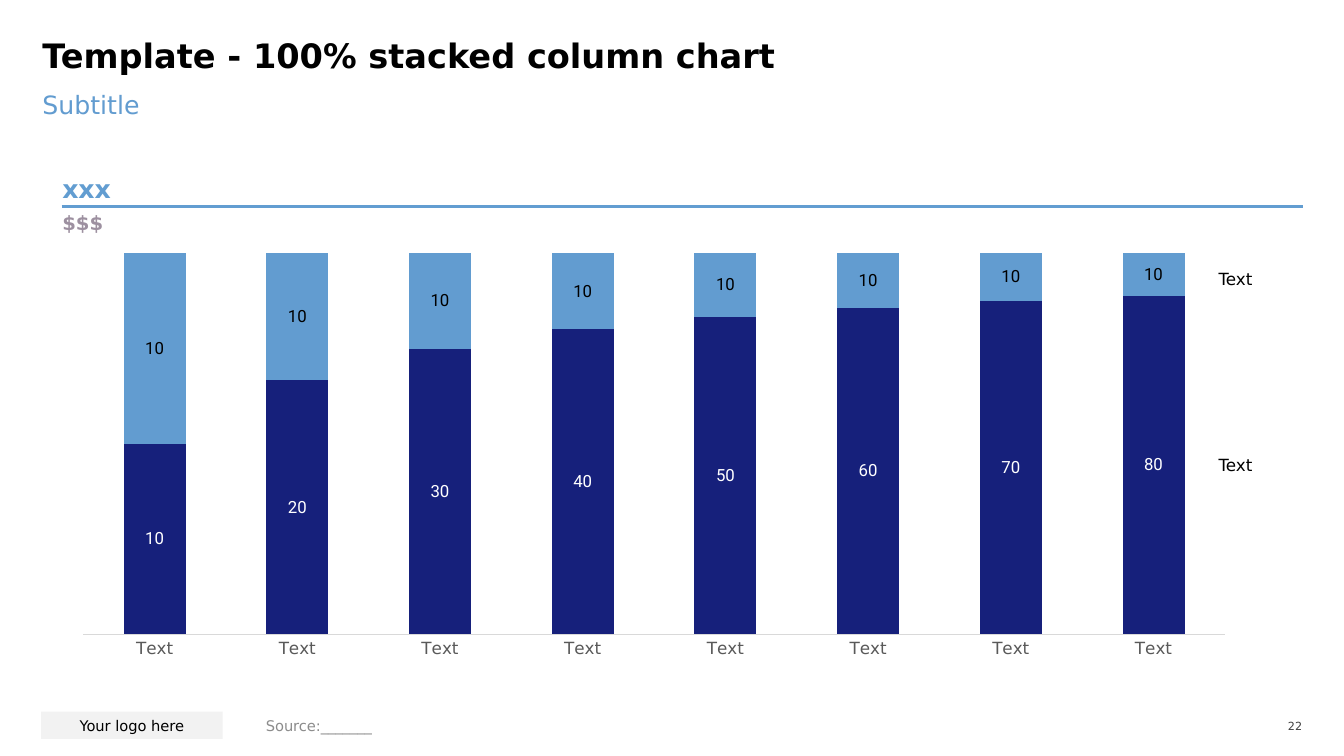
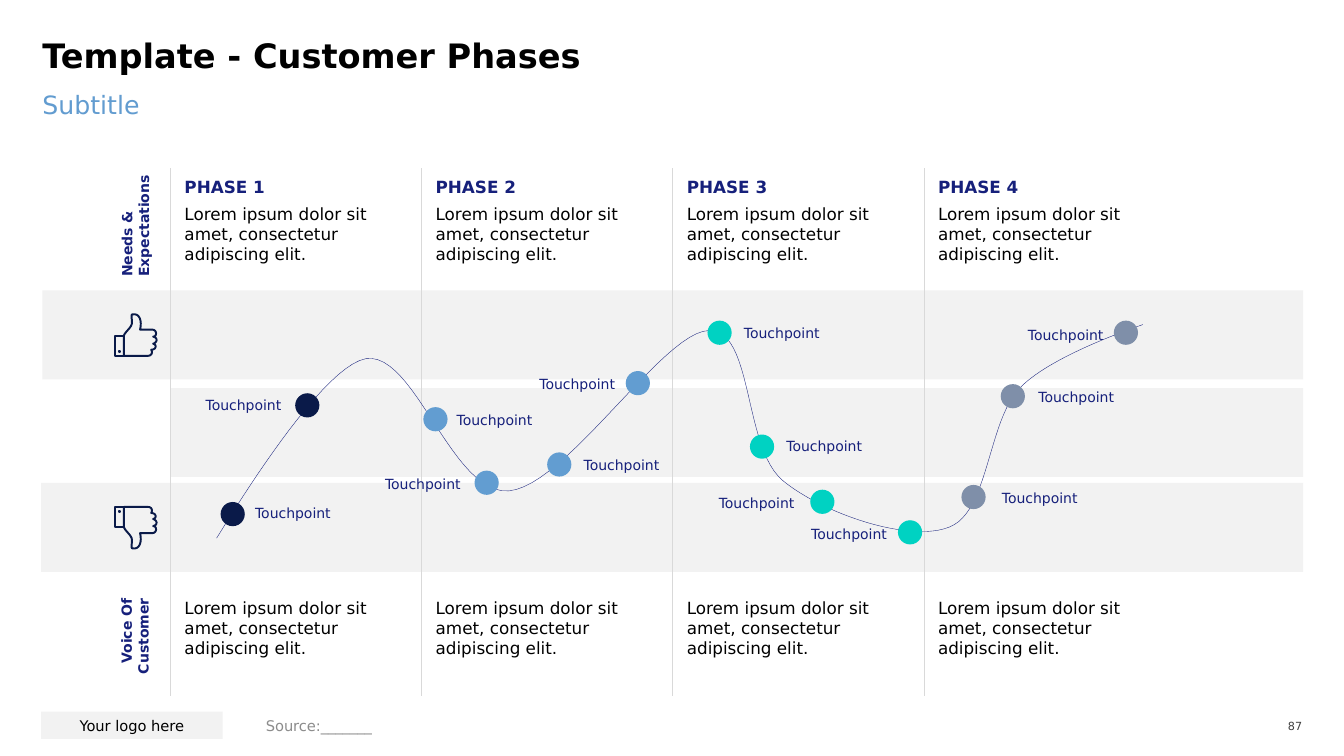
from dataclasses import dataclass
from typing import NamedTuple

from lxml.etree import SubElement
from pptx import Presentation
from pptx.chart.data import CategoryChartData
from pptx.dml.color import RGBColor
from pptx.enum.chart import XL_CHART_TYPE as ChartType, XL_TICK_MARK as TickMark
from pptx.enum.shapes import MSO_CONNECTOR as Connector, MSO_SHAPE as Preset
from pptx.enum.text import MSO_ANCHOR as Anchor, MSO_AUTO_SIZE as AutoSize, PP_ALIGN as Align
from pptx.oxml.ns import qn
from pptx.util import Cm, Pt

FONT, CHART_FONT = "DejaVu Sans", "Roboto"
BLACK, WHITE = "000000", "FFFFFF"
NAVY, MIDNIGHT = "16207B", "0A1A49"
SKY, BLUE = "629CD0", "629DD1"
TEAL, SLATE, MAUVE = "00D2C2", "7F8FA9", "9D90A0"
PALE, RULE_GREY = "F2F2F2", "D9D9D9"
AXIS_GREY, SOURCE_GREY, NUMBER_GREY = "595959", "8C8C8C", "404040"

RIGHT_EDGE = 32.84
LOREM = "Lorem ipsum dolor sit amet, consectetur adipiscing elit."

Point = tuple[float, float]
Curve = tuple[Point, Point, Point]


class Box(NamedTuple):
    """Left, top, width and height in centimetres."""
    left: float
    top: float
    width: float
    height: float

    def lengths(self) -> list[Cm]:
        return [Cm(value) for value in self]


@dataclass(frozen=True)
class Touchpoint:
    dot: Point
    label: Point
    color: str


@dataclass(frozen=True)
class Series:
    name: str
    values: tuple[int, ...]
    fill: str
    label_color: str


TOUCHPOINTS = (
    Touchpoint((5.56, 12.65), (6.3, 12.65), MIDNIGHT),
    Touchpoint((7.44, 9.91), (4.98, 9.93), MIDNIGHT),
    Touchpoint((10.67, 10.26), (11.38, 10.29), BLUE),
    Touchpoint((11.96, 11.86), (9.5, 11.91), BLUE),
    Touchpoint((13.79, 11.4), (14.58, 11.43), BLUE),
    Touchpoint((15.77, 9.35), (13.39, 9.4), BLUE),
    Touchpoint((17.83, 8.08), (18.62, 8.1), TEAL),
    Touchpoint((18.9, 10.95), (19.69, 10.95), TEAL),
    Touchpoint((20.42, 12.34), (17.91, 12.4), TEAL),
    Touchpoint((22.63, 13.11), (20.24, 13.18), TEAL),
    Touchpoint((24.23, 12.22), (25.12, 12.27), SLATE),
    Touchpoint((25.22, 9.68), (26.04, 9.73), SLATE),
    Touchpoint((28.07, 8.08), (25.7, 8.15), SLATE),
)

JOURNEY_START = (5.46, 13.56)
JOURNEY_CURVES = (
    ((5.46, 13.59), (8, 9.25), (9.22, 9.04)),
    ((10.46, 8.84), (11.4, 12.5), (12.83, 12.37)),
    ((14.27, 12.24), (16.71, 8.36), (17.86, 8.33)),
    ((19, 8.28), (18.72, 11.3), (19.74, 12.12)),
    ((20.75, 12.95), (22.94, 13.69), (23.93, 13.28)),
    ((24.92, 12.9), (24.89, 10.62), (25.7, 9.78)),
    ((26.52, 8.92), (28.83, 8.18), (28.8, 8.18)),
)

# The thumb is drawn on a grid of 43 by 43 units.
THUMB_GRID, THUMB_UNIT = 43, 0.0254
CUFF = [(1, 22), (10, 22), (10, 42), (1, 42)]
CUFF_BUTTON = [(5, 37), (6, 37), (6, 38), (5, 38)]
HAND_START = (10, 22)
HAND_CURVES = (
    ((11, 18), (18, 14), (18, 9)),
    ((18, 6), (17, 2), (18, 1)),
    ((26, -1), (28, 8), (26, 16)),
    ((30, 16), (34, 16), (38, 16)),
    ((43, 16), (43, 23), (39, 23)),
    ((44, 24), (43, 29), (39, 30)),
    ((43, 31), (42, 36), (37, 36)),
    ((39, 39), (37, 42), (34, 42)),
    ((26, 42), (18, 42), (10, 42)),
)


def rgb(color: str) -> RGBColor:
    return RGBColor.from_string(color)


def style_font(font, size: float, color: str, bold: bool = False, name: str = FONT) -> None:
    font.name, font.size, font.bold = name, Pt(size), bold
    font.color.rgb = rgb(color)


def write(shape, text: str, *, size: float, color: str = BLACK, bold: bool = False,
          align: Align = Align.LEFT, anchor: Anchor = Anchor.TOP, wrap: bool = True,
          margins: Point = (0, 0), spacing: float | None = None) -> None:
    """Fill a shape with text; margins are horizontal and vertical, in centimetres."""
    frame = shape.text_frame
    frame.text = text
    frame.auto_size, frame.word_wrap = AutoSize.NONE, wrap
    frame.vertical_anchor = anchor
    frame.margin_left = frame.margin_right = Cm(margins[0])
    frame.margin_top = frame.margin_bottom = Cm(margins[1])
    for paragraph in frame.paragraphs:
        paragraph.alignment = align
        if spacing:
            paragraph.line_spacing = spacing
        for run in paragraph.runs:
            style_font(run.font, size, color, bold)


def add_text(slide, text: str, box: Box, **text_format):
    label = slide.shapes.add_textbox(*box.lengths())
    write(label, text, **text_format)
    return label


def add_filled(slide, preset: Preset, box: Box, color: str):
    shape = slide.shapes.add_shape(preset, *box.lengths())
    shape.shadow.inherit = False
    shape.fill.solid()
    shape.fill.fore_color.rgb = rgb(color)
    shape.line.fill.background()
    return shape


def add_rule(slide, start: Point, end: Point, color: str, weight: float) -> None:
    rule = slide.shapes.add_connector(
        Connector.STRAIGHT, *[Cm(value) for value in (*start, *end)])
    rule.line.color.rgb = rgb(color)
    rule.line.width = Pt(weight)
    SubElement(rule._element.spPr, qn("a:effectLst"))


def sample_curves(start: Point, curves: tuple[Curve, ...], steps: int) -> list[Point]:
    """Turn a chain of cubic Bézier curves into points."""
    points = [start]
    for first, second, end in curves:
        begin = points[-1]
        for step in range(1, steps + 1):
            t = step / steps
            u = 1 - t
            weights = (u ** 3, 3 * u * u * t, 3 * u * t * t, t ** 3)
            corners = (begin, first, second, end)
            points.append((sum(w * c[0] for w, c in zip(weights, corners)),
                           sum(w * c[1] for w, c in zip(weights, corners))))
    return points


def add_outline(slide, contours: list[list[Point]], color: str, weight: float,
                closed: bool) -> None:
    """Draw unfilled contours given in centimetres."""
    builder = None
    for contour in contours:
        start, *rest = [(Cm(x), Cm(y)) for x, y in contour]
        if builder is None:
            builder = slide.shapes.build_freeform(*start)
        else:
            builder.move_to(*start)
        builder.add_line_segments(rest, close=closed)
    outline = builder.convert_to_shape()
    outline.shadow.inherit = False
    outline.fill.background()
    outline.line.color.rgb = rgb(color)
    outline.line.width = Pt(weight)


def add_thumb(slide, left: float, top: float, down: bool = False) -> None:
    hand = sample_curves(HAND_START, HAND_CURVES, 8)
    contours = [[(left + x * THUMB_UNIT,
                  top + (THUMB_GRID - y if down else y) * THUMB_UNIT)
                 for x, y in contour]
                for contour in (CUFF, hand, CUFF_BUTTON)]
    add_outline(slide, contours, MIDNIGHT, 1.4, closed=True)


def add_base_slide(deck, title: str, number: int):
    """Add a slide with the title, subtitle and footer that all slides share."""
    slide = deck.slides.add_slide(deck.slide_layouts[5])
    heading = slide.shapes.title
    heading.left, heading.top, heading.width, heading.height = Box(
        1.07, 1.07, 31.72, 1.35).lengths()
    write(heading, title, size=24, bold=True, spacing=0.8)
    add_text(slide, "Subtitle", Box(1.07, 2.24, 31.72, 1.6), size=18, color=SKY)
    logo = add_filled(slide, Preset.RECTANGLE, Box(1.04, 17.93, 4.57, 0.69), PALE)
    write(logo, "Your logo here", size=10.5, align=Align.CENTER, anchor=Anchor.MIDDLE)
    add_text(slide, "Source:_______", Box(6.45, 17.96, 16.23, 0.66), size=10.5,
             color=SOURCE_GREY, anchor=Anchor.MIDDLE, margins=(0.25, 0.13))
    add_text(slide, str(number), Box(31.75, 18.01, 1.07, 0.58), size=8,
             color=NUMBER_GREY, align=Align.RIGHT, anchor=Anchor.MIDDLE)
    return slide


def place_plot(chart, **fractions: float) -> None:
    """Fix the inner plot area as fractions of the chart."""
    plot_area = chart._chartSpace.chart.plotArea
    for old in plot_area.findall(qn("c:layout")):
        plot_area.remove(old)
    layout = SubElement(plot_area, qn("c:layout"))
    plot_area.insert(0, layout)
    manual = SubElement(layout, qn("c:manualLayout"))
    settings = {"layoutTarget": "inner", "xMode": "edge", "yMode": "edge", **fractions}
    for tag, value in settings.items():
        SubElement(manual, qn(f"c:{tag}")).set("val", str(value))


def add_share_chart(slide, box: Box, all_series: tuple[Series, ...]) -> None:
    data = CategoryChartData()
    data.categories = ["Text"] * len(all_series[0].values)
    for series in all_series:
        data.add_series(series.name, series.values)
    chart = slide.shapes.add_chart(ChartType.COLUMN_STACKED_100, *box.lengths(), data).chart
    chart.has_legend = chart.has_title = False
    style_font(chart.font, 12, BLACK, name=CHART_FONT)
    chart.value_axis.visible = False
    chart.value_axis.has_major_gridlines = False
    categories = chart.category_axis
    categories.major_tick_mark = categories.minor_tick_mark = TickMark.NONE
    categories.format.line.color.rgb = rgb(RULE_GREY)
    categories.format.line.width = Pt(0.75)
    style_font(categories.tick_labels.font, 12, AXIS_GREY)
    plot = chart.plots[0]
    plot.gap_width, plot.overlap, plot.vary_by_categories = 130, 100, False
    for drawn, series in zip(plot.series, all_series):
        drawn.format.fill.solid()
        drawn.format.fill.fore_color.rgb = rgb(series.fill)
        drawn.data_labels.show_value = True
        style_font(drawn.data_labels.font, 12, series.label_color, name=CHART_FONT)
    place_plot(chart, x=0.02, y=0.02, w=0.96, h=0.9)


def build_chart_slide(deck) -> None:
    slide = add_base_slide(deck, "Template - 100% stacked column chart", 22)
    add_text(slide, "xxx", Box(1.57, 4.27, 7.44, 0.86), size=18, color=BLUE,
             bold=True, anchor=Anchor.BOTTOM)
    add_rule(slide, (1.55, 5.21), (RIGHT_EDGE, 5.21), BLUE, 2.25)
    add_text(slide, "$$$", Box(1.57, 5.31, 3.35, 0.86), size=14, color=MAUVE, bold=True)
    add_share_chart(slide, Box(1.5, 6.17, 29.97, 10.67), (
        Series("Series 1", tuple(range(10, 90, 10)), NAVY, WHITE),
        Series("Series 2", (10,) * 8, SKY, BLACK)))
    for top in (6.78, 11.46):
        add_text(slide, "Text", Box(30.71, top, 2.13, 0.51), size=12, anchor=Anchor.MIDDLE)


def build_phases_slide(deck) -> None:
    slide = add_base_slide(deck, "Template - Customer Phases", 87)
    first_column, column_step = 4.29, 6.33
    for left, top in ((1.07, 7.32), (first_column, 9.78), (1.04, 12.17)):
        add_filled(slide, Preset.RECTANGLE, Box(left, top, RIGHT_EDGE - left, 2.24), PALE)
    add_thumb(slide, 2.87, 7.9)
    add_thumb(slide, 2.87, 12.75, down=True)
    for text, box, align in (
            ("Needs &\nExpectations", Box(1.88, 5.13, 3.07, 1.12), Align.LEFT),
            ("Voice Of\nCustomer", Box(2.18, 15.49, 2.44, 1.12), Align.RIGHT)):
        row_label = add_text(slide, text, box, size=10, color=NAVY, bold=True,
                             align=align, wrap=False, margins=(0.25, 0.13))
        row_label.rotation = 270
    for index in range(4):
        column = first_column + index * column_step
        text_left = column + 0.36
        add_rule(slide, (column, 4.24), (column, 17.53), RULE_GREY, 0.25)
        add_text(slide, f"PHASE {index + 1}", Box(text_left, 4.32, 4.09, 0.76),
                 size=12, color=NAVY, bold=True, margins=(0, 0.13))
        for top in (5, 14.93):
            add_text(slide, LOREM, Box(text_left, top, 5.64, 2.4), size=12, margins=(0, 0.13))
    journey = sample_curves(JOURNEY_START, JOURNEY_CURVES, 24)
    add_outline(slide, [journey], NAVY, 0.25, closed=False)
    for touchpoint in TOUCHPOINTS:
        add_filled(slide, Preset.OVAL, Box(*touchpoint.dot, 0.61, 0.61), touchpoint.color)
        before_dot = touchpoint.label[0] < touchpoint.dot[0]
        add_text(slide, "Touchpoint", Box(*touchpoint.label, 2.24, 0.56), size=10,
                 color=NAVY, align=Align.RIGHT if before_dot else Align.LEFT,
                 anchor=Anchor.MIDDLE, wrap=False, margins=(0.13, 0.08))


def main() -> None:
    deck = Presentation()
    deck.slide_width, deck.slide_height = Cm(33.87), Cm(19.05)
    build_chart_slide(deck)
    build_phases_slide(deck)
    deck.save("out.pptx")


if __name__ == "__main__":
    main()
